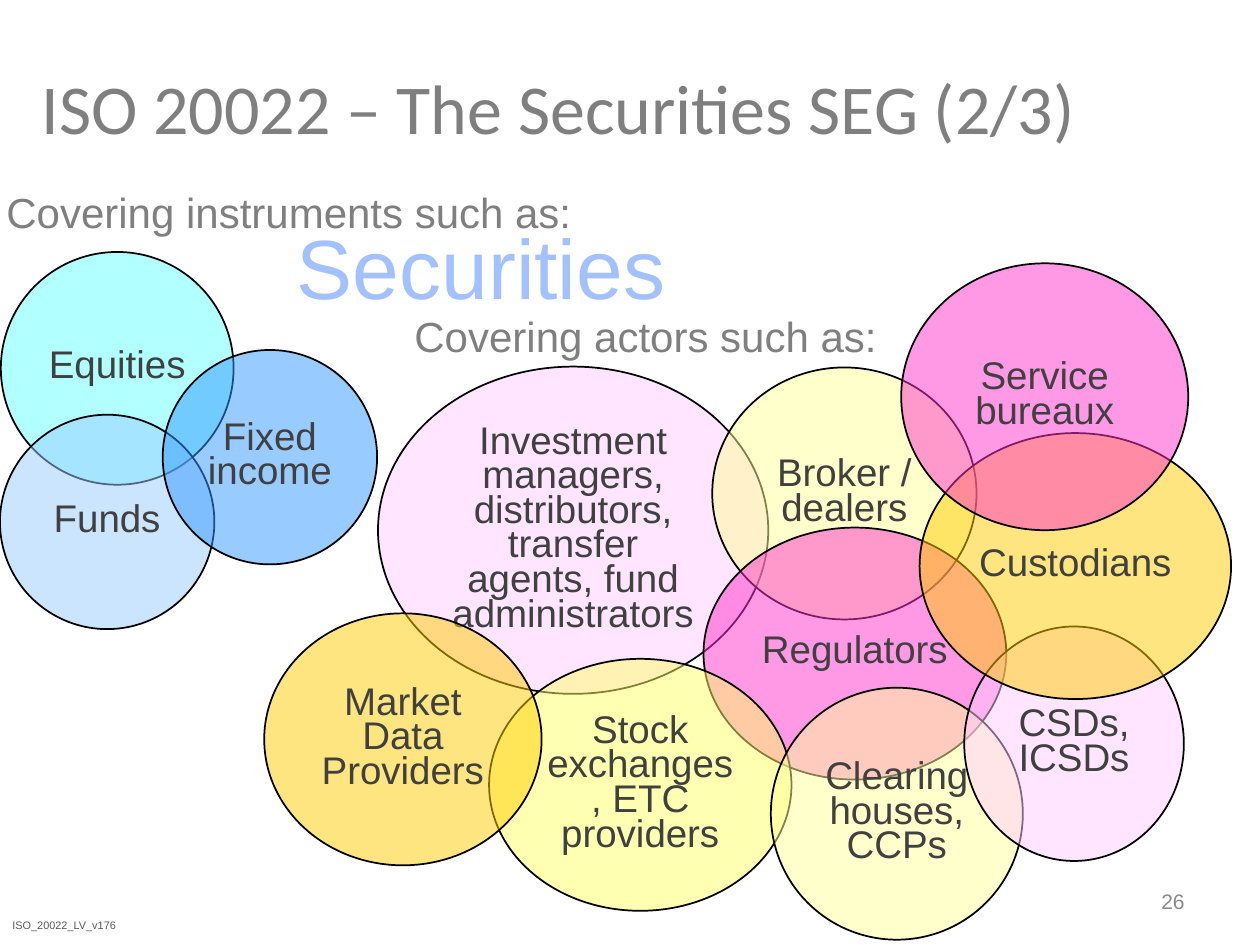
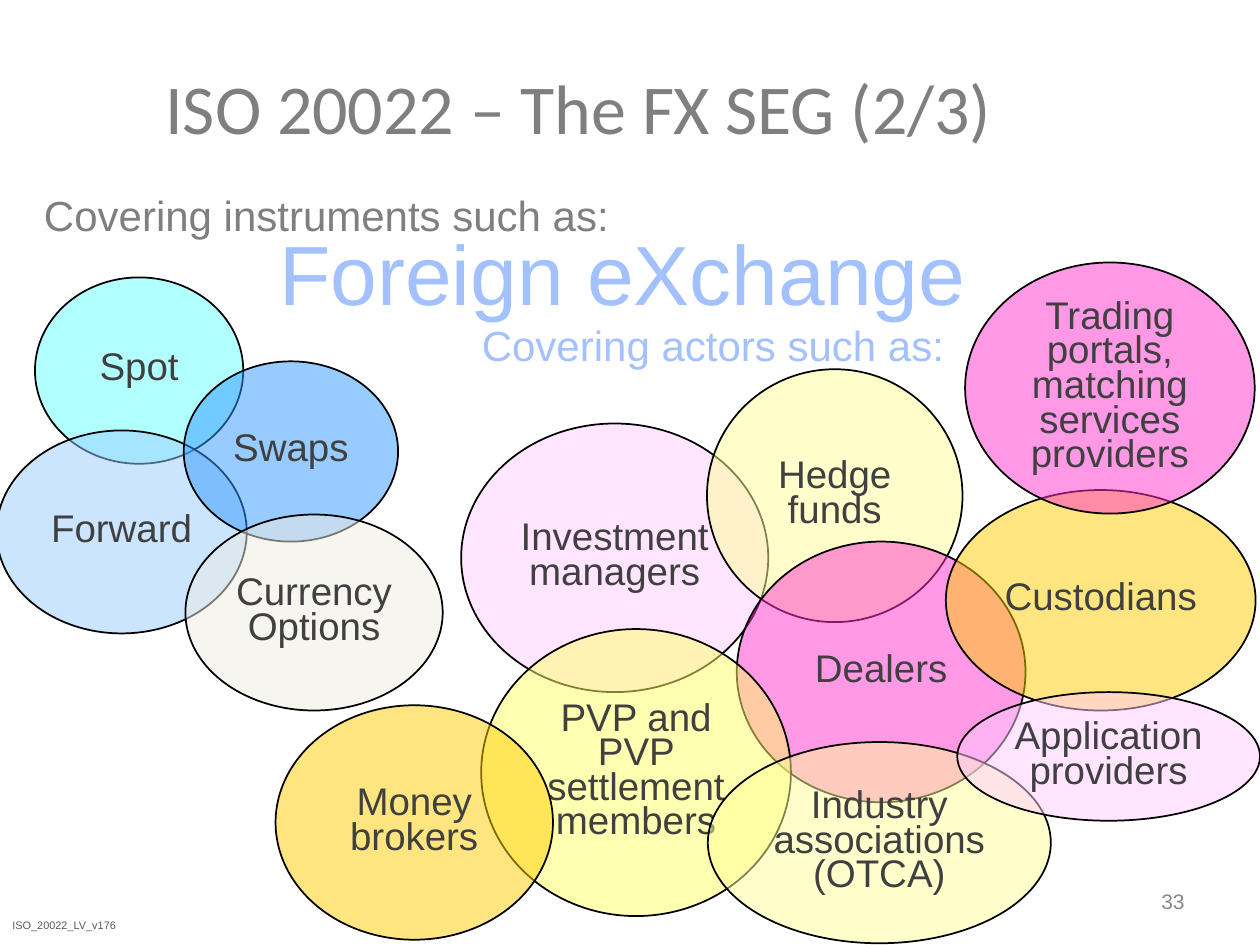
from lxml import etree
from pptx import Presentation
from pptx.dml.color import RGBColor
from pptx.enum.shapes import MSO_SHAPE
from pptx.enum.text import MSO_ANCHOR, PP_ALIGN
from pptx.oxml.ns import qn
from pptx.util import Pt

OVAL = MSO_SHAPE.OVAL
LEFT, CENTER, RIGHT = PP_ALIGN.LEFT, PP_ALIGN.CENTER, PP_ALIGN.RIGHT
TOP, MIDDLE = MSO_ANCHOR.TOP, MSO_ANCHOR.MIDDLE

BLACK = RGBColor(0x00, 0x00, 0x00)
GREY = RGBColor(0x7F, 0x7F, 0x7F)
DARK_GREY = RGBColor(0x40, 0x40, 0x40)
FOOTER_GREY = RGBColor(0x59, 0x59, 0x59)
NUMBER_GREY = RGBColor(0x89, 0x89, 0x89)
PALE_BLUE = RGBColor(0xA2, 0xC1, 0xFE)
CYAN = RGBColor(0x66, 0xFF, 0xFF)
SKY = RGBColor(0x99, 0xCC, 0xFF)
BLUE = RGBColor(0x33, 0x99, 0xFF)
LILAC = RGBColor(0xFF, 0xCC, 0xFF)
CREAM = RGBColor(0xFF, 0xFF, 0x99)
YELLOW = RGBColor(0xFF, 0xFF, 0x66)
PINK = RGBColor(0xFF, 0x33, 0xCC)
GOLD = RGBColor(0xFF, 0xCC, 0x00)
IVORY = RGBColor(0xEE, 0xEC, 0xE1)

SECURITIES_INSTRUMENTS = [
    ("Equities", CYAN, (4, 41, 133, 133)),
    ("Funds", SKY, (3.5, 134, 122.5, 122.5)),
    ("Fixed income", BLUE, (96.5, 97, 122.5, 122.5)),
]
SECURITIES_ACTORS = [
    ("Investment managers, distributors, transfer agents, fund administrators",
     LILAC, (-13.5, 35.5, 223, 187)),
    ("Broker / dealers", CREAM, (177.5, 36, 151, 144)),
    ("Regulators", PINK, (172.5, 127.5, 173, 144)),
    ("Stock exchanges, ETC providers", YELLOW, (50, 202.5, 172.8, 144)),
    ("Clearing houses, CCPs", CREAM, (211, 219, 144, 144)),
    ("CSDs, ICSDs", LILAC, (321.5, 184, 125.5, 134)),
    ("Market Data Providers", GOLD, (-78.5, 176.5, 158.5, 144)),
    ("Custodians", GOLD, (296, 73.5, 178, 152)),
    ("Service bureaux", PINK, (285.5, -23.5, 164, 152.5)),
]
FX_INSTRUMENTS = [
    ("Spot", CYAN, (2, 53.5, 119, 106.5)),
    ("Forward", SKY, (-20, 141, 143, 116)),
    ("Swaps", BLUE, (87, 101.5, 122.5, 103)),
    ("Currency Options", IVORY, (88, 189, 147, 112)),
]
FX_ACTORS = [
    ("Investment managers", LILAC, (-4.5, 63, 175.5, 153.5)),
    ("Hedge funds", CREAM, (136, 32, 146, 144.5)),
    ("Dealers", PINK, (153, 130.5, 165, 149)),
    ("Custodians", GOLD, (272.5, 101, 177, 126)),
    ("PVP and PVP settlement members", YELLOW, (7, 180.5, 177, 164)),
    ("Industry associations (OTCA)", CREAM, (136.5, 245, 196, 115)),
    ("Application providers", LILAC, (279, 216.5, 173, 73.5)),
    ("Money brokers", GOLD, (-110.5, 224, 158.5, 134)),
    ("Trading portals, matching services providers", PINK,
     (283.5, -29, 165.5, 143.5)),
]


def write(sp, text, size, color, align=LEFT, anchor=TOP, font="Arial",
          spacing=None, before=None, wrap=True):
    """Fill a shape with one formatted paragraph."""
    tf = sp.text_frame
    tf.word_wrap = wrap
    tf.vertical_anchor = anchor
    p = tf.paragraphs[0]
    p.alignment = align
    if spacing:
        p.line_spacing = spacing
    if before:
        p.space_before = Pt(before)
    r = p.add_run()
    r.text = text
    r.font.name = font
    r.font.size = Pt(size)
    r.font.color.rgb = color


def add_text(s, box, *args, **style):
    """Add a text box at a box given in points."""
    write(s.shapes.add_textbox(*map(Pt, box)), *args, **style)


def add_bubble(s, box, text, color):
    """Add a half-transparent labelled ellipse."""
    sp = s.shapes.add_shape(OVAL, *map(Pt, box))
    sp.shadow.inherit = False
    sp.fill.solid()
    sp.fill.fore_color.rgb = color
    rgb = sp.fill._xPr.find(".//" + qn("a:srgbClr"))
    etree.SubElement(rgb, qn("a:alpha"), val="50000")
    sp.line.color.rgb = BLACK
    sp.line.width = Pt(1)
    write(sp, text, 22, DARK_GREY, CENTER, MIDDLE, spacing=0.75, before=9.6)


def add_region(s, box, heading, color, bubbles):
    """Add a heading in its box and the bubbles relative to its corner."""
    left, top = box[:2]
    add_text(s, box, heading, 24, color, RIGHT, wrap=False)
    for text, fill, (x, y, w, h) in bubbles:
        add_bubble(s, (left + x, top + y, w, h), text, fill)


def add_seg_slide(prs, title, title_box, topic, topic_box, number, regions):
    """Add one SEG slide with title, topic, regions and footer."""
    s = prs.slides.add_slide(prs.slide_layouts[6])
    add_text(s, title_box, title, 40, GREY, CENTER, MIDDLE, font="Calibri")
    add_text(s, (0, 521.5, 357, 16), "ISO_20022_LV_v176", 6.2, FOOTER_GREY,
             anchor=MIDDLE, spacing=0.8)
    add_text(s, topic_box, topic, 48, PALE_BLUE, wrap=False)
    for region in regions:
        add_region(s, *region)
    add_text(s, (516, 500.5, 168, 29), number, 12, NUMBER_GREY, RIGHT, MIDDLE)


def main():
    """Build the deck."""
    prs = Presentation()
    prs.slide_width, prs.slide_height = Pt(720), Pt(540)
    instruments = "Covering instruments such as:"
    actors = "Covering actors such as:"
    add_seg_slide(
        prs, "ISO 20022 – The Securities SEG (2/3)", (6, 26, 626, 70),
        "Securities", (162.5, 119.5, 238.5, 65), "26",
        [((-3.5, 103, 337, 36), instruments, GREY, SECURITIES_INSTRUMENTS),
         ((229.5, 174, 278.5, 36), actors, GREY, SECURITIES_ACTORS)])
    add_seg_slide(
        prs, "ISO 20022 – The FX SEG (2/3)", (28, 26, 605, 70),
        "Foreign eXchange", (152.5, 123, 407, 65), "33",
        [((18, 105, 337, 36), instruments, GREY, FX_INSTRUMENTS),
         ((268, 179, 278.5, 36), actors, PALE_BLUE, FX_ACTORS)])
    prs.save("out.pptx")


if __name__ == "__main__":
    main()
